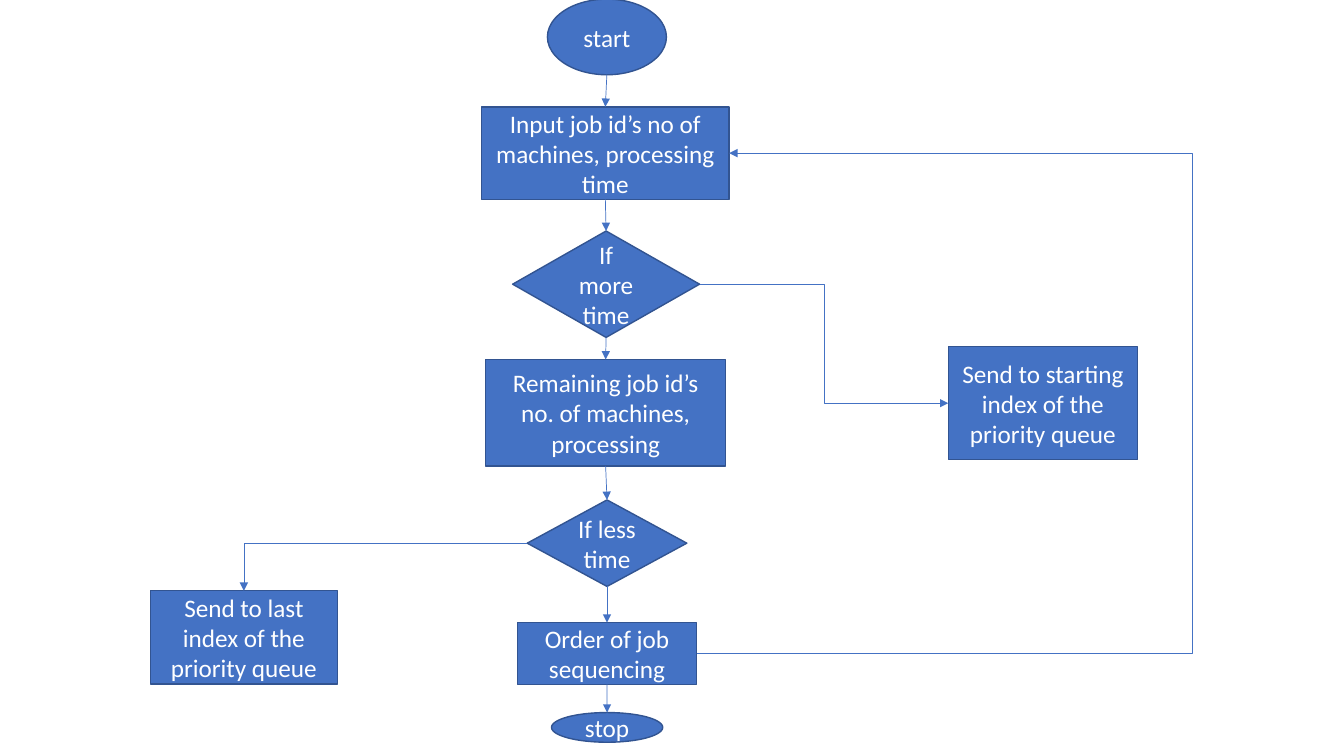
from lxml.etree import SubElement
from pptx import Presentation
from pptx.dml.color import RGBColor
from pptx.enum.shapes import MSO_CONNECTOR, MSO_SHAPE
from pptx.enum.text import MSO_ANCHOR, PP_ALIGN
from pptx.oxml.ns import qn
from pptx.util import Pt

COLORS = {"fill": "4472C4", "outline": "325491", "text": "FFFFFF"}
FONT = "Calibri"
TOP, LEFT, BOTTOM, RIGHT = range(4)
RETURN_X = 851.8

OVAL, BOX, DECISION = MSO_SHAPE.OVAL, MSO_SHAPE.RECTANGLE, MSO_SHAPE.FLOWCHART_DECISION
STEPS = {
    "start": (OVAL, "start", 391, -0.6, 85, 54),
    "input": (BOX, "Input job id’s no of machines, processing time", 343.9, 76.3, 177, 66.2),
    "more": (DECISION, "If more time", 366.2, 165, 133.5, 76),
    "first": (BOX, "Send to starting index of the priority queue", 677.4, 247.7, 135.2, 80.6),
    "remaining": (BOX, "Remaining job id’s no. of machines, processing", 346.9, 256.8, 171.4, 76),
    "less": (DECISION, "If less time", 376.6, 357.1, 114, 61.8),
    "last": (BOX, "Send to last index of the priority queue", 107.5, 422, 133.5, 66.5),
    "order": (BOX, "Order of job sequencing", 369.5, 444.8, 128.2, 44),
    "stop": (OVAL, "stop", 393.9, 509, 79.5, 21.2),
}
MAIN_FLOW = ["input", "more", "remaining", "less", "order", "stop"]
BRANCHES = [
    ("more", RIGHT, "first", LEFT, "bentConnector3"),
    ("less", LEFT, "last", TOP, "bentConnector2"),
    ("order", RIGHT, "input", RIGHT, "bentConnector3"),
]


def rgb(name):
    return RGBColor.from_string(COLORS[name])


def add_step(page, kind, text, left, top, width, height):
    step = page.shapes.add_shape(kind, Pt(left), Pt(top), Pt(width), Pt(height))
    step.shadow.inherit = False
    step.fill.solid()
    step.fill.fore_color.rgb = rgb("fill")
    step.line.color.rgb = rgb("outline")
    step.line.width = Pt(1)
    frame = step.text_frame
    frame.word_wrap = True
    frame.vertical_anchor = MSO_ANCHOR.MIDDLE
    para = frame.paragraphs[0]
    para.text = text
    para.alignment = PP_ALIGN.CENTER
    para.font.name = FONT
    para.font.size = Pt(18)
    para.font.color.rgb = rgb("text")
    return step


def add_arrow(page, kind, start=(0, 0), end=(0, 0)):
    arrow = page.shapes.add_connector(kind, *start, *end)
    arrow.line.color.rgb = rgb("fill")
    arrow.line.width = Pt(0.5)
    SubElement(arrow.line._get_or_add_ln(), qn("a:tailEnd"), type="triangle")
    SubElement(arrow._element.spPr, qn("a:effectLst"))
    return arrow


def join(arrow, source, source_side, target, target_side):
    arrow.begin_connect(source, source_side)
    arrow.end_connect(target, target_side)


def main():
    deck = Presentation()
    deck.slide_width, deck.slide_height = Pt(960), Pt(540)
    page = deck.slides.add_slide(deck.slide_layouts[6])
    steps = {name: add_step(page, *step) for name, step in STEPS.items()}

    start = steps["start"]
    start_bottom = (start.left + start.width // 2, start.top + start.height)
    first_arrow = add_arrow(page, MSO_CONNECTOR.STRAIGHT, start_bottom, start_bottom)
    first_arrow.end_connect(steps["input"], TOP)

    for source, target in zip(MAIN_FLOW, MAIN_FLOW[1:]):
        arrow = add_arrow(page, MSO_CONNECTOR.STRAIGHT)
        join(arrow, steps[source], BOTTOM, steps[target], TOP)

    for source, source_side, target, target_side, preset in BRANCHES:
        arrow = add_arrow(page, MSO_CONNECTOR.ELBOW)
        join(arrow, steps[source], source_side, steps[target], target_side)
        geometry = arrow._element.spPr.find(qn("a:prstGeom"))
        geometry.set("prst", preset)
        if source_side == target_side:
            bend = (Pt(RETURN_X) - arrow.begin_x) / (arrow.end_x - arrow.begin_x)
            guides = geometry.find(qn("a:avLst"))
            SubElement(guides, qn("a:gd"), name="adj1", fmla=f"val {round(bend * 100000)}")

    deck.save("out.pptx")


if __name__ == "__main__":
    main()
